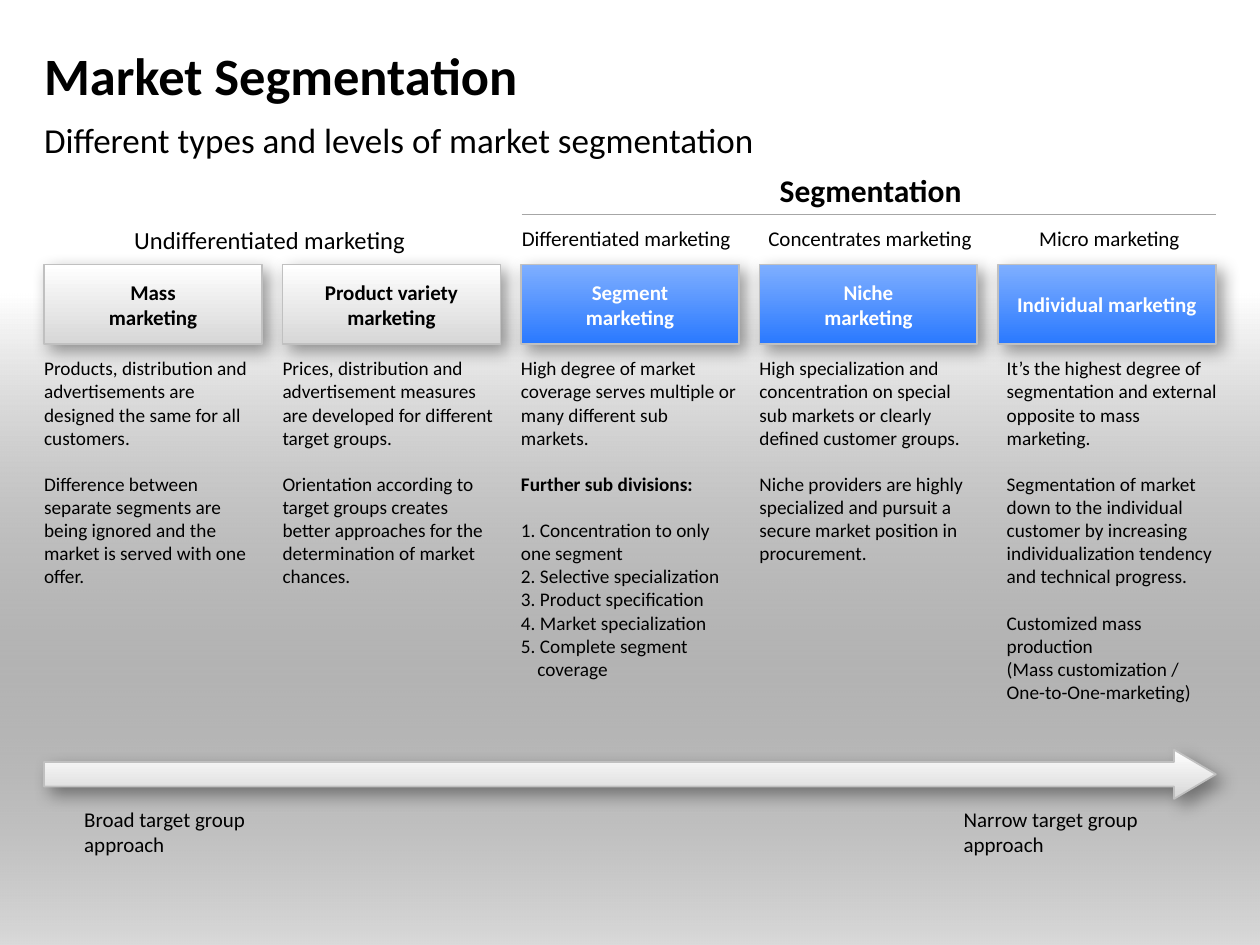
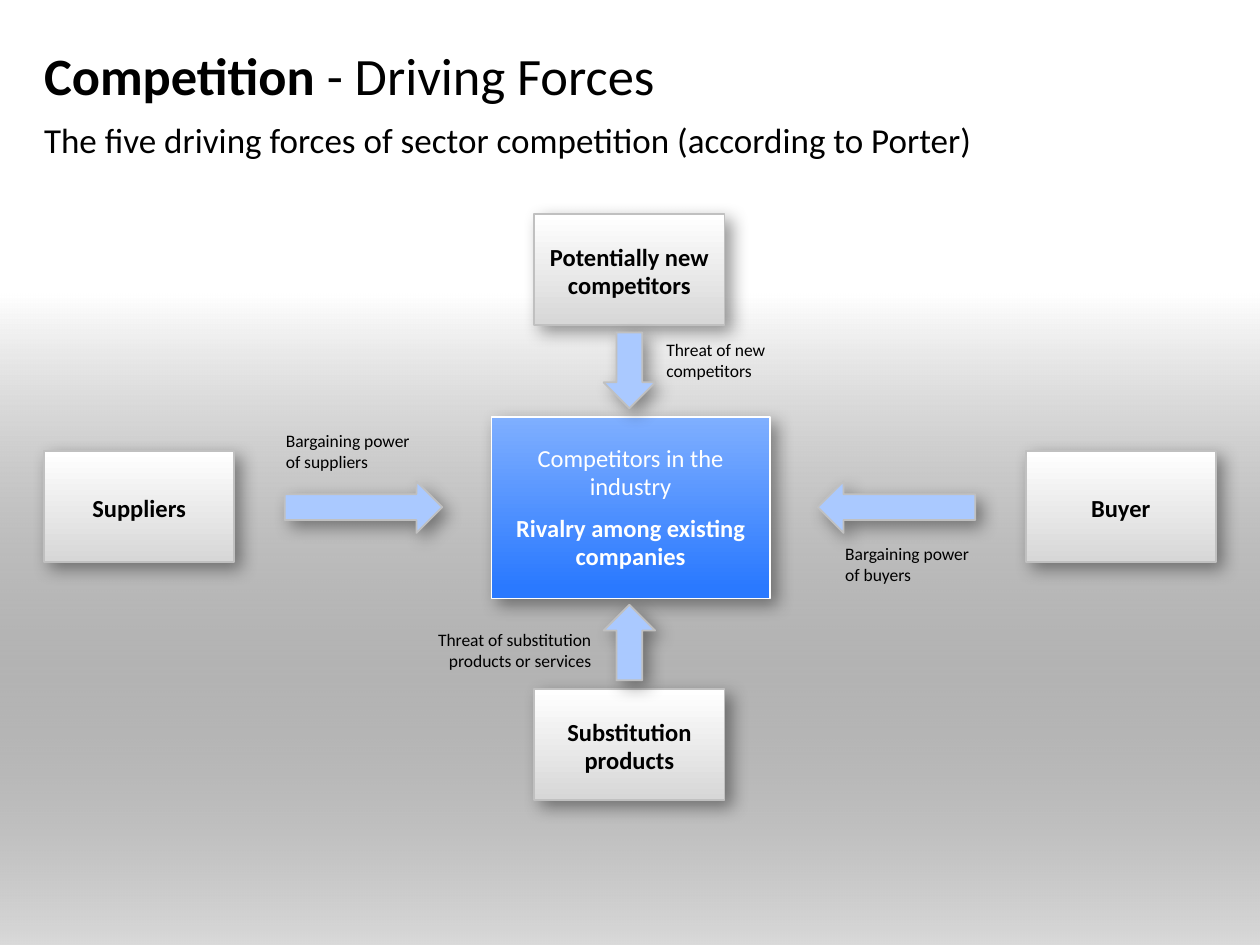
"""Build two marketing slides: market segmentation and the five competitive forces."""
from dataclasses import dataclass
from typing import Optional

from lxml import etree
from pptx import Presentation
from pptx import util as u
from pptx.dml.color import RGBColor
from pptx.enum import shapes, text
from pptx.oxml.ns import qn

FONT = "Calibri"
BLACK, WHITE, SILVER, RULE, PALE_BLUE = "000000", "FFFFFF", "C0C0C0", "A6A6A6", "AAC9FF"
MARGIN, CONTENT_WIDTH = 0.35, 9.3
LEFT, CENTER, RIGHT = text.PP_ALIGN.LEFT, text.PP_ALIGN.CENTER, text.PP_ALIGN.RIGHT
TOP, MIDDLE = text.MSO_ANCHOR.TOP, text.MSO_ANCHOR.MIDDLE
SHAPE = shapes.MSO_SHAPE
NO_INSETS = (0, 0, 0, 0)
INSETS = (0.1, 0.05, 0.1, 0.05)
BODY_GAP = 13.2


@dataclass(frozen=True)
class Gradient:
    bottom: str
    top: str
    bottom_alpha: int = 100
    bottom_position: float = 0


@dataclass(frozen=True)
class Para:
    text: str
    bold: bool = False
    plain_tail: str = ""
    before: float = 0
    hanging: float = 0


@dataclass(frozen=True)
class Box:
    x: float
    y: float
    w: float
    h: float


@dataclass(frozen=True)
class Column:
    heading: str
    paragraphs: tuple[Para, ...]
    segmented: bool = False
    body_shift: float = 0


@dataclass(frozen=True)
class Label:
    text: str
    box: Box
    size: float = 12
    bold: bool = False
    align: text.PP_ALIGN = CENTER


@dataclass(frozen=True)
class Force:
    name: str
    box: Box
    arrow: SHAPE
    arrow_box: Box
    caption: str
    caption_box: Box
    align: text.PP_ALIGN = LEFT


GREY = Gradient("D7D7D7", WHITE)
BLUE = Gradient("2A79FF", "7FAFFF")
CORE_BLUE = Gradient("2A79FF", "7FAFFF", bottom_position=0.06)
FLOOR = Gradient(BLACK, WHITE, bottom_alpha=15)

COLUMN_W = 1.73
COLUMN_PITCH = (CONTENT_WIDTH - COLUMN_W) / 4
COLUMNS = (
    Column("Mass\nmarketing", (
        Para("Products, distribution and advertisements are designed the same for all customers."),
        Para("Difference between separate segments are being ignored and the market is served "
             "with one offer.", before=BODY_GAP))),
    Column("Product variety\nmarketing", (
        Para("Prices, distribution and advertisement measures are developed for different "
             "target groups."),
        Para("Orientation according to target groups creates better approaches for the "
             "determination of market chances.", before=BODY_GAP))),
    Column("Segment\nmarketing", (
        Para("High degree of market coverage serves multiple or many different sub markets."),
        Para("Further sub divisions:", bold=True, before=BODY_GAP),
        Para("1. Concentration to only one segment", before=BODY_GAP),
        Para("2. Selective specialization"),
        Para("3. Product specification"),
        Para("4. Market specialization", hanging=0.13),
        Para("5. Complete segment coverage", hanging=0.13)), segmented=True),
    Column("Niche\nmarketing", (
        Para("High specialization and concentration on special sub markets or clearly defined "
             "customer groups."),
        Para("Niche providers are highly specialized and pursuit a secure market position in "
             "procurement.", before=BODY_GAP)), segmented=True),
    Column("Individual marketing", (
        Para("It’s the highest degree of segmentation and external opposite to mass marketing."),
        Para("Segmentation of market down to the individual customer by increasing "
             "individualization tendency and technical progress.", before=BODY_GAP),
        Para("Customized mass production\n(Mass customization /\nOne-to-One-marketing)",
             before=BODY_GAP)), segmented=True, body_shift=0.07),
)
LABELS = (
    Label("Undifferentiated marketing", Box(0.93, 1.74, 2.42, 0.34), size=14),
    Label("Differentiated marketing", Box(4.03, 1.74, 1.88, 0.3)),
    Label("Concentrates marketing", Box(5.99, 1.74, 1.83, 0.3)),
    Label("Micro marketing", Box(8.14, 1.74, 1.33, 0.3)),
    Label("Segmentation", Box(6.08, 1.31, 1.66, 0.4), size=18, bold=True),
    Label("Broad target group\napproach", Box(0.57, 6.35, 1.49, 0.5), align=LEFT),
    Label("Narrow target group\napproach", Box(7.55, 6.35, 1.6, 0.5), align=LEFT),
)

FORCE_W, FORCE_H = 1.51, 0.88
ARROW_LENGTH, ARROW_DROP, ARROW_BREADTH = 1.25, 0.6, 0.41
FORCES = (
    Force("Potentially new competitors", Box(4.24, 1.7, FORCE_W, FORCE_H),
          SHAPE.DOWN_ARROW, Box(4.79, 2.64, ARROW_BREADTH, ARROW_DROP),
          "Threat of new competitors", Box(5.19, 2.64, 1.21, 0.44)),
    Force("Substitution products", Box(4.24, 5.47, FORCE_W, FORCE_H),
          SHAPE.UP_ARROW, Box(4.79, 4.8, ARROW_BREADTH, ARROW_DROP),
          "Threat of substitution products or services", Box(3.26, 4.94, 1.53, 0.44), RIGHT),
    Force("Buyer", Box(8.14, 3.58, FORCE_W, FORCE_H),
          SHAPE.LEFT_ARROW, Box(6.49, 3.82, ARROW_LENGTH, ARROW_BREADTH),
          "Bargaining power of buyers", Box(6.61, 4.26, 1.21, 0.44)),
    Force("Suppliers", Box(MARGIN, 3.58, FORCE_W, FORCE_H),
          SHAPE.RIGHT_ARROW, Box(2.26, 3.82, ARROW_LENGTH, ARROW_BREADTH),
          "Bargaining power of suppliers", Box(2.17, 3.36, 1.21, 0.44)),
)


def rgb(value: str) -> RGBColor:
    return RGBColor.from_string(value)


def inches(box: Box) -> tuple[u.Length, ...]:
    return tuple(u.Inches(length) for length in (box.x, box.y, box.w, box.h))


def write(frame, *paragraphs: Para, size: float, color: str = BLACK, align=LEFT, anchor=TOP,
          insets=INSETS, wrap: bool = True, spacing: Optional[float] = None,
          after: float = 0) -> None:
    frame.word_wrap = wrap
    frame.auto_size = text.MSO_AUTO_SIZE.NONE
    frame.vertical_anchor = anchor
    (frame.margin_left, frame.margin_top,
     frame.margin_right, frame.margin_bottom) = map(u.Inches, insets)
    for index, para in enumerate(paragraphs):
        line = frame.add_paragraph() if index else frame.paragraphs[0]
        line.alignment = align
        line.line_spacing = spacing
        line.space_before, line.space_after = u.Pt(para.before), u.Pt(after)
        if para.hanging:
            properties = line._p.get_or_add_pPr()
            properties.set("marL", str(u.Inches(para.hanging)))
            properties.set("indent", str(-u.Inches(para.hanging)))
        line.font.size = u.Pt(size)
        for row, words in enumerate(para.text.split("\n")):
            if row:
                line.add_line_break()
            add_run(line, words, size, color, para.bold)
        if para.plain_tail:
            add_run(line, para.plain_tail, size, color, False)


def add_run(line, words: str, size: float, color: str, bold: bool) -> None:
    run = line.add_run()
    run.text = words
    run.font.name, run.font.size, run.font.bold = FONT, u.Pt(size), bold
    run.font.color.rgb = rgb(color)


def add_text(slide, box: Box, *paragraphs: Para, **style) -> None:
    write(slide.shapes.add_textbox(*inches(box)).text_frame, *paragraphs, **style)


def fill_gradient(shape, gradient: Gradient) -> None:
    shape.fill.gradient()
    shape.fill.gradient_angle = 90
    bottom, top = shape.fill.gradient_stops
    bottom.color.rgb, top.color.rgb = rgb(gradient.bottom), rgb(gradient.top)
    bottom.position, top.position = gradient.bottom_position, 1
    if gradient.bottom_alpha < 100:
        first_color = next(shape._element.spPr.iter(qn("a:srgbClr")))
        etree.SubElement(first_color, qn("a:alpha"), val=str(gradient.bottom_alpha * 1000))


def cast_shadow(shape) -> None:
    effects = shape._element.spPr.find(qn("a:effectLst"))
    shadow = etree.SubElement(effects, qn("a:outerShdw"), blurRad=str(u.Pt(10)),
                              dist=str(u.Pt(5)), dir=str(45 * 60000), algn="tl",
                              rotWithShape="0")
    color = etree.SubElement(shadow, qn("a:srgbClr"), val=BLACK)
    etree.SubElement(color, qn("a:alpha"), val="40000")


def add_panel(slide, kind: SHAPE, box: Box, fill: Gradient | str,
              outline: Optional[str] = SILVER):
    panel = slide.shapes.add_shape(kind, *inches(box))
    panel.shadow.inherit = False
    if isinstance(fill, Gradient):
        fill_gradient(panel, fill)
    else:
        panel.fill.solid()
        panel.fill.fore_color.rgb = rgb(fill)
    if outline:
        panel.line.color.rgb = rgb(outline)
        panel.line.width = u.Pt(1)
        cast_shadow(panel)
    else:
        panel.line.fill.background()
    return panel


def add_slide(deck, title: Para, subtitle: str):
    slide = deck.slides.add_slide(deck.slide_layouts[5])
    add_panel(slide, SHAPE.RECTANGLE, Box(0, 2.33, 10, 5.17), FLOOR, outline=None)
    heading = slide.shapes.title
    heading.left, heading.top, heading.width, heading.height = inches(
        Box(MARGIN, 0.26, CONTENT_WIDTH, 0.67))
    write(heading.text_frame, title, size=30, anchor=MIDDLE, insets=NO_INSETS)
    add_text(slide, Box(MARGIN, 0.94, CONTENT_WIDTH, 0.37), Para(subtitle),
             size=20, insets=NO_INSETS)
    return slide


def build_segmentation(deck) -> None:
    slide = add_slide(deck, Para("Market Segmentation", bold=True),
                      "Different types and levels of market segmentation")
    for index, column in enumerate(COLUMNS):
        x = MARGIN + index * COLUMN_PITCH
        header = add_panel(slide, SHAPE.RECTANGLE, Box(x, 2.1, COLUMN_W, 0.63),
                           BLUE if column.segmented else GREY)
        write(header.text_frame, Para(column.heading, bold=True), size=12,
              color=WHITE if column.segmented else BLACK, align=CENTER, anchor=MIDDLE,
              wrap=not column.segmented)
        add_text(slide, Box(x + column.body_shift, 2.83, COLUMN_W, 3.3), *column.paragraphs,
                 size=11, insets=NO_INSETS)
    for label in LABELS:
        add_text(slide, label.box, Para(label.text, bold=label.bold), size=label.size,
                 align=label.align, wrap=False)
    segmentation_rule = slide.shapes.add_connector(
        shapes.MSO_CONNECTOR.STRAIGHT, u.Inches(4.14), u.Inches(1.7), u.Inches(9.65),
        u.Inches(1.7))
    segmentation_rule.line.color.rgb = rgb(RULE)
    segmentation_rule.line.width = u.Pt(0.75)
    etree.SubElement(segmentation_rule._element.spPr, qn("a:effectLst"))
    focus_arrow = add_panel(slide, SHAPE.RIGHT_ARROW, Box(MARGIN, 5.95, CONTENT_WIDTH, 0.39),
                            GREY)
    focus_arrow.adjustments[1] = 0.85


def build_competition(deck) -> None:
    slide = add_slide(deck, Para("Competition ", bold=True, plain_tail="- Driving Forces"),
                      "The five driving forces of sector competition (according to Porter)")
    box_style = dict(size=14, align=CENTER, anchor=MIDDLE, spacing=0.95, after=8)
    for force in FORCES:
        source = add_panel(slide, SHAPE.RECTANGLE, force.box, GREY)
        write(source.text_frame, Para(force.name, bold=True),
              insets=(0.08, 0.12, 0.08, 0.08), **box_style)
    rivalry = add_panel(slide, SHAPE.RECTANGLE, Box(3.9, 3.31, 2.21, 1.44), CORE_BLUE, WHITE)
    write(rivalry.text_frame, Para("Competitors in the industry"),
          Para("Rivalry among existing companies", bold=True), color=WHITE,
          insets=(0.04, 0.04, 0.04, 0.04), **box_style)
    for force in FORCES:
        add_panel(slide, force.arrow, force.arrow_box, PALE_BLUE)
        add_text(slide, force.caption_box, Para(force.caption), size=10, align=force.align)


def main() -> None:
    deck = Presentation()
    deck.slide_width, deck.slide_height = u.Inches(10), u.Inches(7.5)
    build_segmentation(deck)
    build_competition(deck)
    deck.save("out.pptx")


if __name__ == "__main__":
    main()
